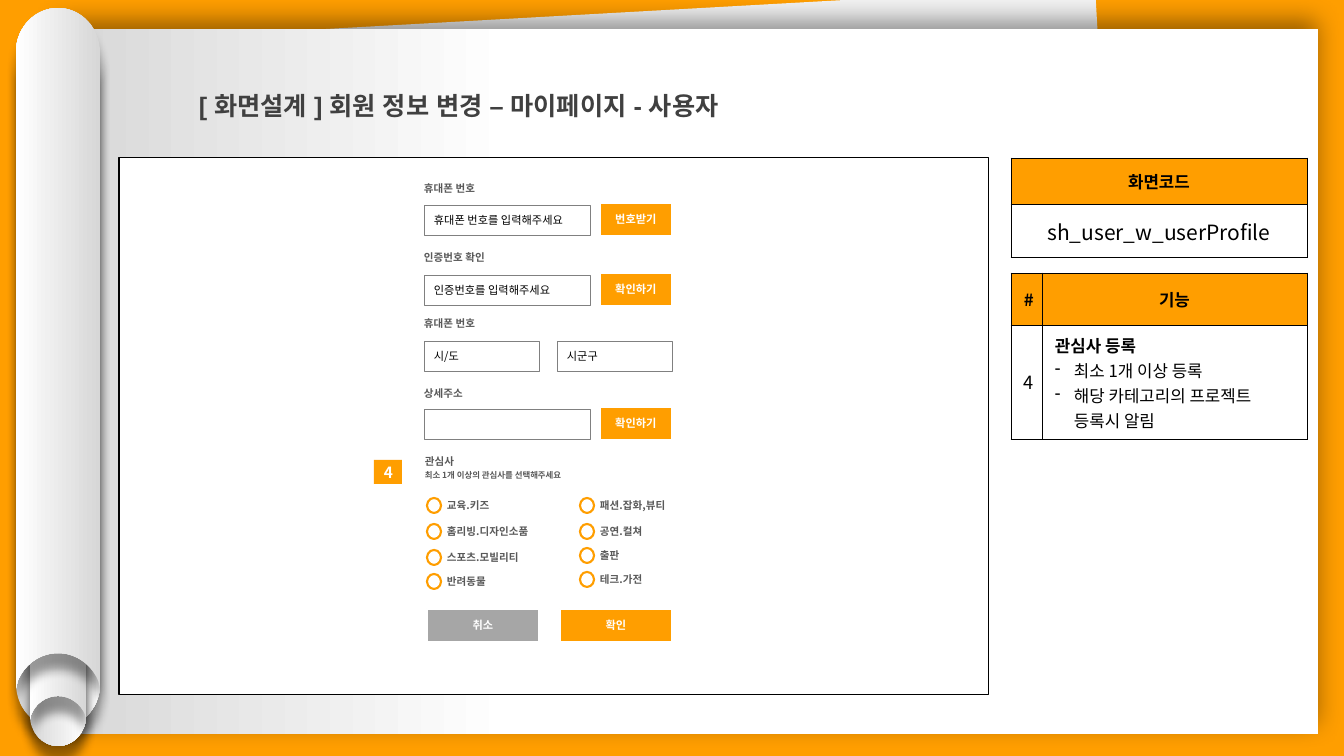
from lxml.etree import SubElement
from pptx import Presentation
from pptx.dml.color import RGBColor
from pptx.enum.shapes import MSO_SHAPE as Preset
from pptx.enum.text import MSO_ANCHOR as Anchor, PP_ALIGN as Align
from pptx.oxml.ns import qn
from pptx.util import Pt

TITLE = "[ 화면설계 ] 회원 정보 변경 – 마이페이지 - 사용자"
CODE_ROWS = ["화면코드", "sh_user_w_userProfile"]
FEATURE_HEADER = ["#", "기능"]
FEATURE_NUMBER = "4"
FEATURE_LINES = ["관심사 등록", "최소 1개 이상 등록", "해당 카테고리의 프로젝트 등록시 알림"]
LABELS = [
    ("휴대폰 번호", "label", (414, 181, 79, 15)),
    ("인증번호 확인", "label", (414, 252, 88, 11)),
    ("휴대폰 번호", "label", (414, 316, 79, 15)),
    ("상세주소", "label", (414, 388, 88, 11)),
    ("관심사", "label", (415, 456, 88, 11)),
    ("최소 1개 이상의 관심사를 선택해주세요", "hint", (415, 470, 222, 11)),
]
FIELDS = [
    ("휴대폰 번호를 입력해주세요", "번호받기", 205),
    ("인증번호를 입력해주세요", "확인하기", 275),
    ("", "확인하기", 409),
]
REGIONS = ["시/도", "시군구"]
INTERESTS = [
    (427, [("교육.키즈", 498, 76), ("홈리빙.디자인소품", 524, 117),
           ("스포츠.모빌리티", 550, 109), ("반려동물", 574, 109)]),
    (580, [("패션.잡화,뷰티", 498, 99), ("공연.컬쳐", 524, 76),
           ("출판", 548, 122), ("테크.가전", 572, 76)]),
]
ACTIONS = [("취소", "cancel"), ("확인", "button")]
BIG_ROLL = dict(left=16, width=84, height=680, cap=44, notch=35)
SMALL_ROLL = dict(left=30, width=56, height=456, cap=30, notch=23)
ROLLS = [(BIG_ROLL, 48, 180), (SMALL_ROLL, 290, 180), (SMALL_ROLL, 263, 0), (BIG_ROLL, 8, 0)]

THEME = dict(
    orange="FF9E00", white="FFFFFF", black="000000", grey="A6A6A6", edge="808080",
    label="595959", title="404040", shade="D7D7D7", back="F2F2F2",
    font="Noto Sans CJK KR", title_font="Arial",
    title_size=18, code_size=15, number_size=13, table_size=12, badge_size=11,
    field_size=8, label_size=7.5, hint_size=6,
)
STYLES = {
    "label": ("white", ("white", 1), "label_size", "label", True, Align.LEFT),
    "hint": ("white", ("white", 1), "hint_size", "label", True, Align.LEFT),
    "field": ("white", ("edge", 0.5), "field_size", "black", False, Align.LEFT),
    "button": ("orange", ("white", 1), "field_size", "white", True, Align.CENTER),
    "cancel": ("grey", ("white", 1), "field_size", "white", True, Align.CENTER),
    "badge": ("orange", None, "badge_size", "white", True, Align.CENTER),
}
PX = 914400 / 100.8


def px(length):
    return round(length * PX)


def color(name):
    return RGBColor.from_string(THEME[name])


def assign(target, values):
    for name, value in values.items():
        setattr(target, name, value)


def write(paragraph, text, size, ink, bold, font="font", **layout):
    assign(paragraph, layout)
    run = paragraph.add_run()
    run.text = text
    assign(run.font, dict(size=Pt(THEME[size]), bold=bold, name=THEME[font]))
    run.font.color.rgb = color(ink)
    SubElement(run.font._element, qn("a:ea"), typeface=THEME[font])


def paint(shape, fill, line=None):
    shape.shadow.inherit = False
    shape.fill.solid()
    shape.fill.fore_color.rgb = color(fill)
    if line:
        shape.line.color.rgb = color(line[0])
        shape.line.width = Pt(line[1])
    else:
        shape.line.fill.background()


def add_box(box, fill, line=None, preset=Preset.RECTANGLE):
    shape = slide.shapes.add_shape(preset, *map(px, box))
    paint(shape, fill, line)
    return shape


def add_control(text, style, box):
    fill, line, size, ink, bold, align = STYLES[style]
    control = add_box(box, fill, line)
    control.text_frame.vertical_anchor = Anchor.MIDDLE
    if text:
        write(control.text_frame.paragraphs[0], text, size, ink, bold, alignment=align)
    return control


def shade(shape, stops, blur, distance, direction):
    shape.fill.gradient()
    shape.fill.gradient_angle = 180
    for stop, (position, name) in zip(shape.fill.gradient_stops, stops):
        stop.position = position
        stop.color.rgb = color(name)
    effects = shape._element.spPr.find(qn("a:effectLst"))
    shadow = SubElement(effects, qn("a:outerShdw"), blurRad=str(Pt(blur)),
                        dist=str(Pt(distance)), dir=str(direction * 60000), rotWithShape="0")
    tint = SubElement(shadow, qn("a:srgbClr"), val=THEME["black"])
    SubElement(tint, qn("a:alpha"), val="40000")


def add_roll(left, width, height, cap, notch, top, rotation):
    mid = width / 2
    right_half = [
        [(mid * 1.55, 0), (width, cap * 0.45), (width, cap)],
        [(width, height)],
        [(width * 0.98, height - notch * 0.2)],
        [(width * 0.9, height - notch * 0.68), (width * 0.71, height - notch), (mid, height - notch)],
    ]
    nodes = [(mid, 0)] + [node for segment in right_half for node in segment]
    nodes += [(width - x, y) for x, y in reversed(nodes[:-1])]
    points = [(px(x), px(y)) for x, y in nodes]
    builder = slide.shapes.build_freeform(*points[0], scale=1.0)
    builder.add_line_segments(points[1:], close=True)
    roll = builder.convert_to_shape(px(left), px(top))
    outline = roll._element.spPr.find(".//" + qn("a:path"))
    steps = outline.findall(qn("a:lnTo"))
    for start in (0, 5, 8, 13):
        curve = SubElement(outline, qn("a:cubicBezTo"))
        steps[start].addprevious(curve)
        for step in steps[start:start + 3]:
            curve.append(step[0])
            outline.remove(step)
    paint(roll, "white")
    roll.rotation = rotation
    shade(roll, [(0, "shade"), (1, "white")], 7, 11, 90)
    return roll


def add_table(top, columns, rows):
    box = (1011, top, sum(columns), sum(rows))
    table = slide.shapes.add_table(len(rows), len(columns), *map(px, box)).table
    assign(table, dict(first_row=False, horz_banding=False))
    for column, width in zip(table.columns, columns):
        column.width = px(width)
    for index, (row, height) in enumerate(zip(table.rows, rows)):
        row.height = px(height)
        for cell in row.cells:
            assign(cell, dict(margin_left=px(13), margin_right=px(13), margin_top=px(7),
                              margin_bottom=px(7), vertical_anchor=Anchor.MIDDLE))
            properties = cell._tc.get_or_add_tcPr()
            for side in ("lnL", "lnR", "lnT", "lnB"):
                border = SubElement(properties, qn(f"a:{side}"), w=str(Pt(0.75)))
                ink = SubElement(border, qn("a:solidFill"))
                SubElement(ink, qn("a:srgbClr"), val=THEME["black"])
            if index:
                cell.fill.background()
            else:
                cell.fill.solid()
                cell.fill.fore_color.rgb = color("orange")
    return table


deck = Presentation()
assign(deck, dict(slide_width=px(1344), slide_height=px(756)))
slide = deck.slides.add_slide(deck.slide_layouts[6])
slide.background.fill.solid()
slide.background.fill.fore_color.rgb = color("orange")

add_box((92, 14, 1023, 685), "back").rotation = 356.8
sheet = add_box((58, 29, 1260, 705), "white")
shade(sheet, [(0.64, "white"), (1, "shade")], 18, 6, 270)
slide.shapes.add_group_shape([add_roll(**form, top=top, rotation=turn) for form, top, turn in ROLLS])

code_table = add_table(158, [296], [46, 54])
for row, (text, size) in enumerate(zip(CODE_ROWS, ("table_size", "code_size"))):
    write(code_table.cell(row, 0).text_frame.paragraphs[0], text, size, "black", row == 0,
          alignment=Align.CENTER)

add_box((119, 158, 870, 537), "white", ("black", 0.75))

feature_table = add_table(273, [31, 265], [52, 111])
centred = dict(alignment=Align.CENTER, line_spacing=Pt(18))
for column, text in enumerate(FEATURE_HEADER):
    write(feature_table.cell(0, column).text_frame.paragraphs[0], text, "table_size", "black",
          True, **centred)
write(feature_table.cell(1, 0).text_frame.paragraphs[0], FEATURE_NUMBER, "number_size", "black",
      False, **centred)
feature_cell = feature_table.cell(1, 1)
feature_cell.vertical_anchor = Anchor.TOP
for index, text in enumerate(FEATURE_LINES):
    frame = feature_cell.text_frame
    paragraph = frame.add_paragraph() if index else frame.paragraphs[0]
    paragraph.line_spacing = Pt(18)
    if index:
        indents = paragraph._p.get_or_add_pPr()
        indents.set("marL", str(px(19)))
        indents.set("indent", str(-px(19)))
        SubElement(indents, qn("a:buChar"), char="-")
    write(paragraph, text, "table_size", "black", index == 0)

for text, style, box in LABELS:
    add_control(text, style, box)
for prompt, action, top in FIELDS:
    add_control(prompt, "field", (424, top, 166, 30))
    add_control(action, "button", (600, top - 2, 72, 33))
for index, region in enumerate(REGIONS):
    add_control(region, "field", (424 + 133 * index, 341, 115, 30))
for left, interests in INTERESTS:
    for interest, top, width in interests:
        caption = add_control(interest, "label", (left + 10, top + 2, width, 11))
        radio = add_box((left, top, 14, 15), "white", ("orange", 1.5), Preset.OVAL)
        slide.shapes.add_group_shape([caption, radio])
for index, (action, style) in enumerate(ACTIONS):
    add_control(action, style, (427 + 133 * index, 609, 112, 33))
add_control(FEATURE_NUMBER, "badge", (374, 460, 28, 24))

heading = slide.shapes.add_textbox(*map(px, (192, 71, 727, 53))).text_frame
assign(heading, dict(word_wrap=True, margin_left=px(7), margin_right=px(7),
                     margin_top=px(4), margin_bottom=px(4)))
write(heading.paragraphs[0], TITLE, "title_size", "title", True, "title_font", line_spacing=1.5)

deck.save("out.pptx")
